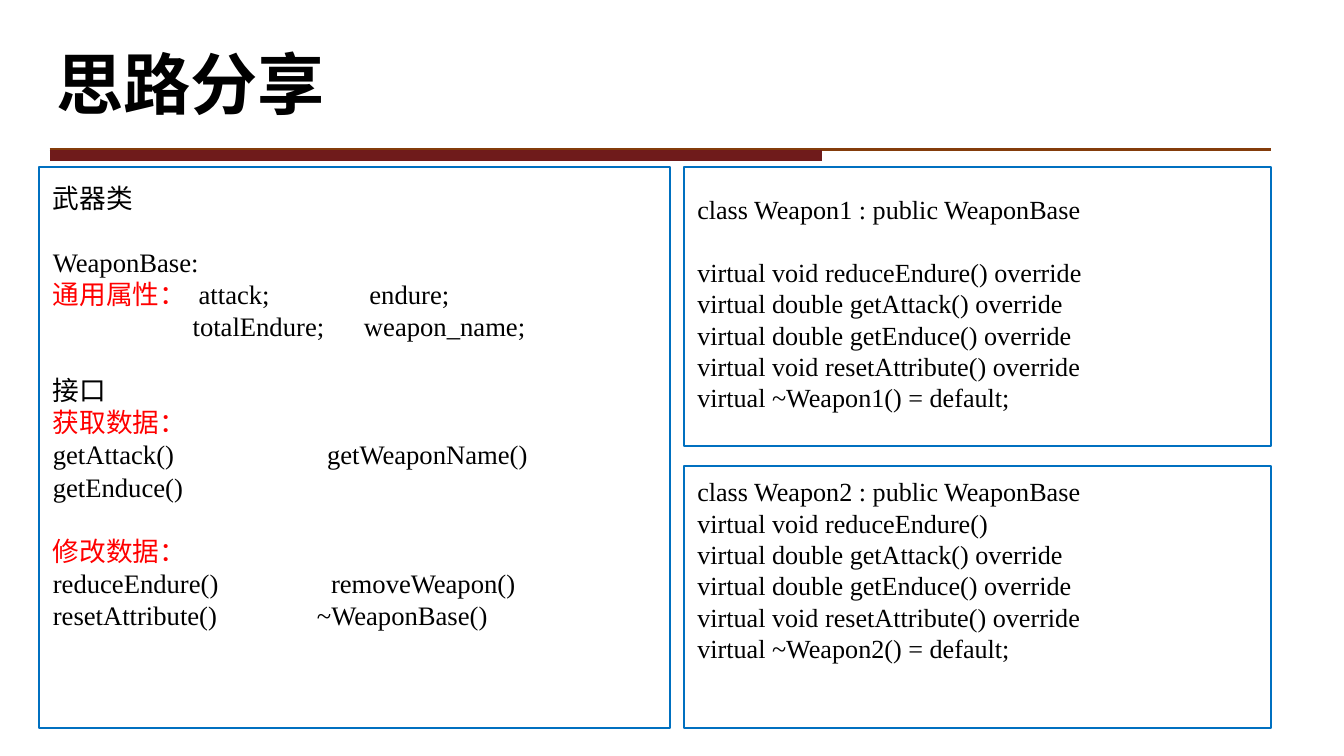
from typing import NamedTuple

from pptx import Presentation
from pptx.dml.color import RGBColor as RGB
from pptx.enum.shapes import MSO_CONNECTOR as LINK, MSO_SHAPE as FORM
from pptx.enum.text import MSO_ANCHOR as ANCHOR
from pptx.oxml.ns import qn
from pptx.util import Pt
from lxml.etree import SubElement as Sub

SCALE = 4572
BLACK, RED, BLUE = "000000", "FF0000", "0070C0"
BROWN, MAROON = "843C0B", "6F1B1B"
SERIF, SANS = "Times New Roman", "Noto Sans CJK SC"


def px(num):
    """Turn px, at 200 to the inch, into EMU."""
    return num * SCALE


def tint(code):
    """Turn a hex string into a colour."""
    return RGB.from_string(code)


class Row(NamedTuple):
    """One line of text: red label, tab stops in px, and empty lines above."""
    text: str = ""
    label: str = ""
    tabs: tuple = ()
    gap: int = 0


class Deck:
    """Holds the style and the current slide."""

    def __init__(self, wide, high):
        """Open a deck with one blank slide."""
        self.file = Presentation()
        self.file.slide_width, self.file.slide_height = px(wide), px(high)
        self.slide = self.file.slides.add_slide(self.file.slide_layouts[6])

    def rule(self, left, right, top, color, width):
        """Draw a horizontal line."""
        line = self.slide.shapes.add_connector(
            LINK.STRAIGHT, px(left), px(top), px(right), px(top))
        line.line.color.rgb = tint(color)
        line.line.width = Pt(width)
        Sub(line._element.spPr, qn("a:effectLst"))

    def frame(self, left, top, wide, high):
        """Draw an empty outlined box."""
        box = self.slide.shapes.add_shape(
            FORM.RECTANGLE, px(left), px(top), px(wide), px(high))
        box.shadow.inherit = False
        box.fill.background()
        box.line.color.rgb = tint(BLUE)
        box.line.width = Pt(1)

    def area(self, left, top, wide, high):
        """Add a wrapping text box and return its frame."""
        box = self.slide.shapes.add_textbox(
            px(left), px(top), px(wide), px(high))
        box.text_frame.word_wrap = True
        return box.text_frame

    def style(self, run, size, color, face=SERIF, bold=False):
        """Format one run."""
        font = run.font
        font.size, font.bold, font.name = Pt(size), bold, face
        font.color.rgb = tint(color)
        Sub(run._r.get_or_add_rPr(), qn("a:ea"), typeface=SANS)

    def title(self, text, *place):
        """Write the heading."""
        body = self.area(*place)
        body.vertical_anchor = ANCHOR.MIDDLE
        body.text = text
        para = body.paragraphs[0]
        para.line_spacing = 0.9
        self.style(para.runs[0], 36, BLACK, SANS, True)

    def stops(self, para, tabs):
        """Set the tab stops of a paragraph."""
        group = Sub(para._p.get_or_add_pPr(), qn("a:tabLst"))
        for tab in tabs:
            Sub(group, qn("a:tab"), pos=str(px(tab)), algn="l")

    def code(self, rows, size, pitch, *place):
        """Write rows of code at a fixed line pitch in points."""
        body = self.area(*place)
        for num, row in enumerate(rows):
            para = body.add_paragraph() if num else body.paragraphs[0]
            para.line_spacing = Pt(pitch)
            para.space_before = Pt(row.gap * pitch)
            if row.tabs:
                self.stops(para, row.tabs)
            for text, color in ((row.label, RED), (row.text, BLACK)):
                if text:
                    run = para.add_run()
                    run.text = text
                    self.style(run, size, color)


def main():
    """Build the slide."""
    base = [
        Row("武器类"),
        Row("WeaponBase:", gap=1),
        Row("\tattack;\tendure;", "通用属性：", (217, 471)),
        Row("\ttotalEndure;\tweapon_name;", tabs=(208, 463)),
        Row("接口", gap=1),
        Row(label="获取数据："),
        Row("getAttack()\tgetWeaponName()", tabs=(408,)),
        Row("getEnduce()"),
        Row(label="修改数据：", gap=1),
        Row("reduceEndure()\tremoveWeapon()", tabs=(414,)),
        Row("resetAttribute()\t~WeaponBase()", tabs=(393,)),
    ]
    kinds = []
    for name, above, below, tail in (("Weapon1", 0, 1, " override"),
                                     ("Weapon2", 2, 0, "")):
        kinds += [
            Row(f"class {name} : public WeaponBase", gap=above),
            Row(f"virtual void reduceEndure(){tail}", gap=below),
            Row("virtual double getAttack() override"),
            Row("virtual double getEnduce() override"),
            Row("virtual void resetAttribute() override"),
            Row(f"virtual ~{name}() = default;"),
        ]

    deck = Deck(2000, 1125)
    deck.rule(74, 1892, 222, BROWN, 1.5)
    deck.rule(74, 1224, 231, MAROON, 6)
    deck.title("思路分享", 64, 24, 1800, 214)
    deck.code(base, 14.3, 17.2, 59, 260, 904, 846)
    deck.code(kinds, 14, 16.8, 1018, 278, 934, 772)
    deck.frame(1018, 694, 874, 389)
    deck.frame(1018, 248, 874, 416)
    deck.frame(58, 248, 939, 835)
    deck.file.save("out.pptx")


if __name__ == "__main__":
    main()
